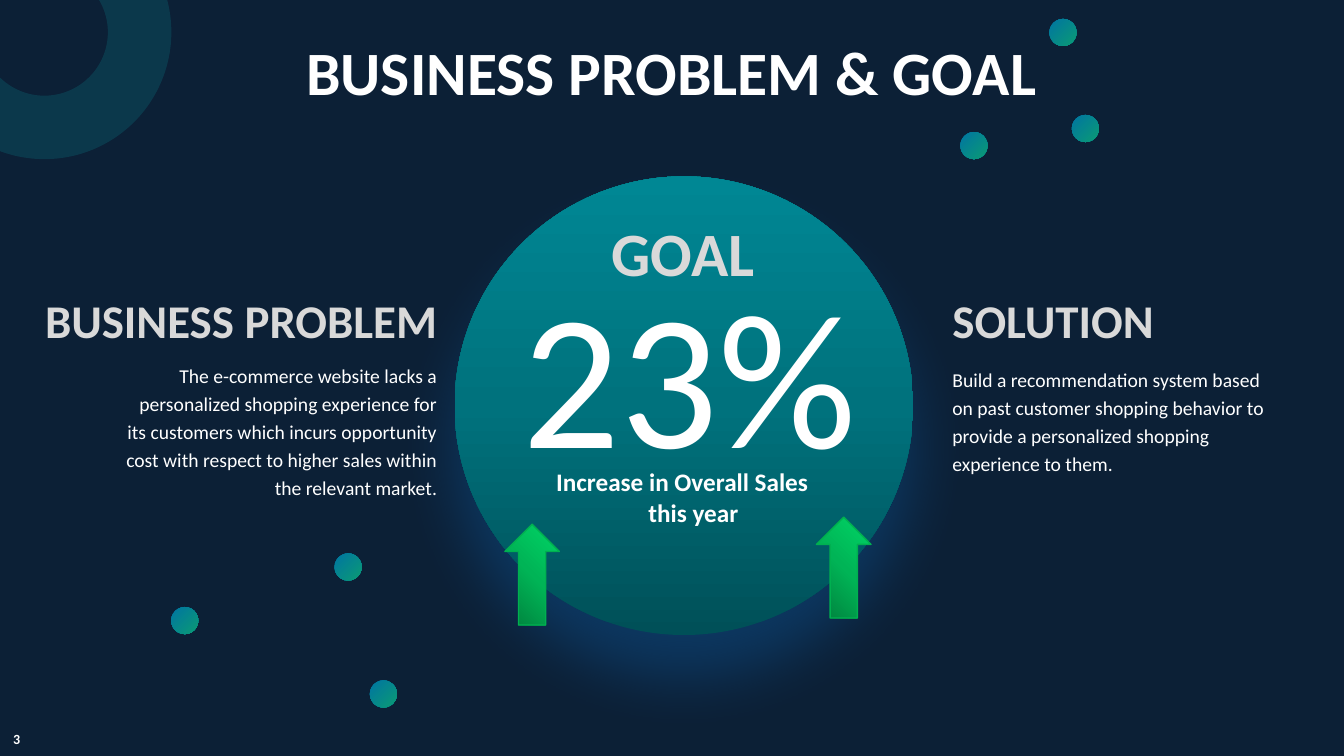
from pptx import Presentation
from pptx.dml.color import RGBColor
from pptx.enum.shapes import MSO_SHAPE
from pptx.enum.text import MSO_AUTO_SIZE, PP_ALIGN
from pptx.oxml import parse_xml
from pptx.oxml.ns import nsdecls, qn
from pptx.util import Pt

NAVY = RGBColor(0x0C, 0x20, 0x36)
WHITE = RGBColor(0xFF, 0xFF, 0xFF)
SILVER = RGBColor(0xD9, 0xD9, 0xD9)
AQUA = RGBColor(0x08, 0x9C, 0xA2)
GREEN = RGBColor(0x00, 0xB0, 0x50)
GLOW = RGBColor(0x0F, 0x6F, 0xC6)
TEAL = [RGBColor(0x00, 0x50, 0x58), RGBColor(0x00, 0x72, 0x7D), RGBColor(0x00, 0x87, 0x94)]
SEA = [RGBColor(0x00, 0x75, 0xA2), RGBColor(0x0B, 0x9B, 0x74)]
LEAF = [RGBColor(0x00, 0x7F, 0x3C), RGBColor(0x00, 0xB4, 0x56), RGBColor(0x00, 0xD6, 0x66)]
LEFT, MID, RIGHT = PP_ALIGN.LEFT, PP_ALIGN.CENTER, PP_ALIGN.RIGHT


def add_text(slide, box, lines, size, color=WHITE, bold=False,
             aligns=(LEFT,), wrap=True, space=None):
    shape = slide.shapes.add_textbox(*map(Pt, box))
    frame = shape.text_frame
    frame.word_wrap = wrap
    frame.auto_size = MSO_AUTO_SIZE.SHAPE_TO_FIT_TEXT
    frame.text = lines
    for para, align in zip(frame.paragraphs, aligns):
        para.alignment = align
        if space:
            para.line_spacing = space
        for run in para.runs:
            font = run.font
            font.name, font.size, font.bold = "Calibri", Pt(size), bold
            font.color.rgb = color
    return frame


def add_form(slide, kind, box):
    shape = slide.shapes.add_shape(kind, *map(Pt, box))
    shape.shadow.inherit = False
    shape.line.fill.background()
    return shape


def shade(shape, colors, angle):
    shape.fill.background()
    step = 100000 // (len(colors) - 1)
    stops = "".join(
        f'<a:gs pos="{i * step}"><a:srgbClr val="{color}"/></a:gs>'
        for i, color in enumerate(colors))
    props = shape._element.spPr
    props.replace(props.find(qn("a:noFill")), parse_xml(
        f'<a:gradFill {nsdecls("a")} rotWithShape="1"><a:gsLst>{stops}</a:gsLst>'
        f'<a:lin ang="{angle * 60000}" scaled="0"/></a:gradFill>'))


def add_glow(shape):
    shape._element.spPr.find(qn("a:effectLst")).append(parse_xml(
        f'<a:outerShdw {nsdecls("a")} blurRad="{Pt(45)}" dist="{Pt(30)}" '
        f'dir="5400000" algn="t" rotWithShape="0"><a:srgbClr val="{GLOW}">'
        '<a:alpha val="30000"/></a:srgbClr></a:outerShdw>'))


def add_disc(slide, box):
    disc = add_form(slide, MSO_SHAPE.OVAL, box)
    shade(disc, TEAL, 270)
    add_glow(disc)


def add_goal(slide, box):
    x, y, _, _ = box
    add_text(slide, (x + 38.9, y + 23.8, 249.1, 70.6), "GOAL", 44, SILVER, True, (MID,))
    add_text(slide, (x + 65.5, y + 203.8, 210.2, 51.1),
             "Increase in Overall Sales\nthis year", 18, bold=True, aligns=(LEFT, MID))
    for left, top in ((19.4, 265), (242, 260)):
        arrow = add_form(slide, MSO_SHAPE.RIGHT_ARROW, (x + left, y + top, 72, 38.9))
        arrow.rotation = 270
        shade(arrow, LEAF, 45)
        arrow.line.color.rgb = GREEN
        arrow.line.width = Pt(1)
    add_text(slide, (x + 40.3, y + 52.6, 255.6, 174.2), "23%", 138,
             aligns=(MID,), wrap=False)


def add_side(slide, box, head, body, align, wide, gap):
    x, y, w, h = box
    left = x + w - wide if align == RIGHT else x
    add_text(slide, (left, y, wide, 48), head, 33.5, SILVER, True, (align,), False)
    add_text(slide, (x, y + gap, w, h - gap), body, 14, aligns=(align,), space=1.2)


def add_dots(slide, spots, size=19.4):
    for x, y in spots:
        shade(add_form(slide, MSO_SHAPE.OVAL, (x, y, size, size)), SEA, 45)


def add_ring(slide, box):
    ring = add_form(slide, MSO_SHAPE.DONUT, box)
    ring.fill.solid()
    ring.fill.fore_color.rgb = AQUA
    tint = ring._element.spPr.find(qn("a:solidFill"))[0]
    tint.append(parse_xml(f'<a:alpha {nsdecls("a")} val="20000"/>'))


def add_page(slide, box, number):
    frame = add_text(slide, box, number, 10, bold=True, aligns=(MID,))
    frame.margin_left, frame.margin_right = Pt(3.6), 0


def main():
    deck = Presentation()
    deck.slide_width, deck.slide_height = Pt(960), Pt(540)
    slide = deck.slides.add_slide(deck.slide_layouts[6])
    slide.background.fill.solid()
    slide.background.fill.fore_color.rgb = NAVY

    goal = (324.7, 126, 327.6, 327.6)
    add_disc(slide, goal)
    add_side(slide, (78.9, 204.7, 240.5, 156.8), "BUSINESS PROBLEM",
             "The e-commerce website lacks a personalized shopping experience for "
             "its customers which incurs opportunity cost with respect to higher "
             "sales within the relevant market.", RIGHT, 301.7, 48)
    add_side(slide, (673.2, 204.9, 240.5, 139.3), "SOLUTION",
             "Build a recommendation system based on past customer shopping "
             "behavior to provide a personalized shopping experience to them.",
             LEFT, 159.8, 50.7)
    add_text(slide, (211.7, 20.9, 702, 60.5), "BUSINESS PROBLEM & GOAL", 44, bold=True)
    add_dots(slide, ((686, 94.3), (239, 395.3), (765.6, 82.1),
                     (749.6, 13.5), (264.2, 486), (122.3, 433.6)))
    add_ring(slide, (-59, -67.7, 181.4, 181.4))
    add_goal(slide, goal)
    add_page(slide, (3.6, 518.4, 13, 19.4), "3")
    deck.save("out.pptx")


if __name__ == "__main__":
    main()
